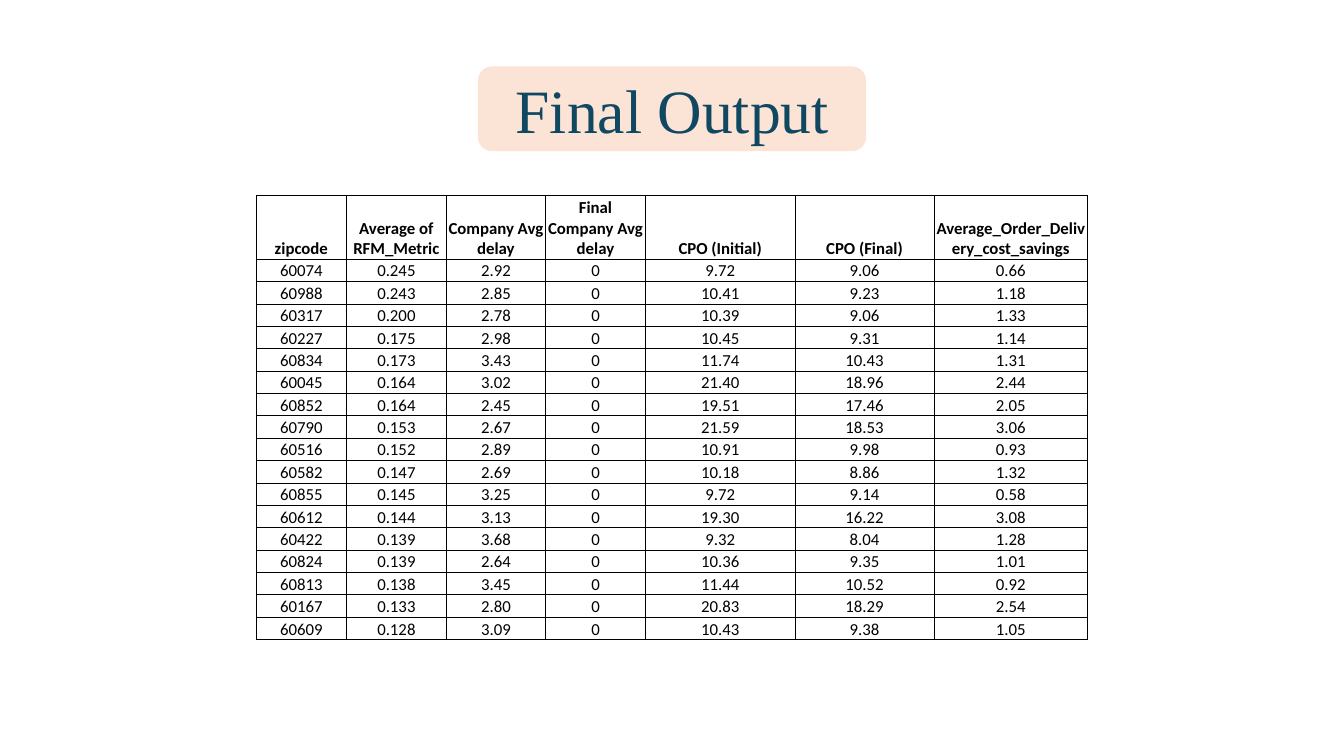
import dataclasses

import lxml.etree
import pptx
import pptx.dml.color
import pptx.enum.shapes
import pptx.enum.text
import pptx.oxml.ns
import pptx.util

EMU_PER_PX = 9144  # 100 px to the inch


def px(length):
    return pptx.util.Emu(round(length * EMU_PER_PX))


@dataclasses.dataclass(frozen=True)
class Theme:
    panel: str = "FBE3D6"
    title: str = "104862"
    text: str = "000000"
    cell: str = "FFFFFF"
    border: str = "000000"
    title_font: str = "Times New Roman"
    table_font: str = "Calibri"
    title_size: int = 44
    table_size: int = 12
    border_width: float = 0.5


class SlideBuilder:
    def __init__(self, slide, theme):
        self.slide = slide
        self.theme = theme

    def fill(self, target, color):
        target.fill.solid()
        target.fill.fore_color.rgb = pptx.dml.color.RGBColor.from_string(color)

    def format_text(self, paragraph, font_name, size, color, bold=False):
        paragraph.alignment = pptx.enum.text.PP_ALIGN.CENTER
        for run in paragraph.runs:
            run.font.name = font_name
            run.font.size = pptx.util.Pt(size)
            run.font.bold = bold
            run.font.color.rgb = pptx.dml.color.RGBColor.from_string(color)

    def panel(self, left, top, width, height):
        shape = self.slide.shapes.add_shape(
            pptx.enum.shapes.MSO_SHAPE.ROUNDED_RECTANGLE,
            px(left), px(top), px(width), px(height))
        shape.shadow.inherit = False
        self.fill(shape, self.theme.panel)
        shape.line.fill.background()

    def title(self, text, left, top, width, height):
        shape = self.slide.shapes.add_textbox(px(left), px(top), px(width), px(height))
        text_frame = shape.text_frame
        text_frame.word_wrap = True
        text_frame.vertical_anchor = pptx.enum.text.MSO_ANCHOR.MIDDLE
        text_frame.text = text
        paragraph = text_frame.paragraphs[0]
        paragraph.line_spacing = 0.9
        self.format_text(paragraph, self.theme.title_font, self.theme.title_size,
                         self.theme.title)

    def borders(self, cell):
        properties = cell._tc.get_or_add_tcPr()
        for side in ("a:lnL", "a:lnR", "a:lnT", "a:lnB"):
            line = lxml.etree.SubElement(properties, pptx.oxml.ns.qn(side))
            line.set("w", str(pptx.util.Pt(self.theme.border_width)))
            solid = lxml.etree.SubElement(line, pptx.oxml.ns.qn("a:solidFill"))
            color = lxml.etree.SubElement(solid, pptx.oxml.ns.qn("a:srgbClr"))
            color.set("val", self.theme.border)

    def cell(self, cell, text, bold):
        cell.margin_left = cell.margin_right = cell.margin_top = px(1)
        cell.margin_bottom = 0
        cell.vertical_anchor = pptx.enum.text.MSO_ANCHOR.BOTTOM
        self.borders(cell)
        self.fill(cell, self.theme.cell)
        cell.text_frame.text = text
        self.format_text(cell.text_frame.paragraphs[0], self.theme.table_font,
                         self.theme.table_size, self.theme.text, bold)

    def table(self, rows, left, top, width, height, column_shares, header_height):
        table = self.slide.shapes.add_table(
            len(rows), len(column_shares), px(left), px(top), px(width), px(height)).table
        table.horz_banding = False
        for column, share in zip(table.columns, column_shares):
            column.width = px(width * share / sum(column_shares))
        body_height = (height - header_height) / (len(rows) - 1)
        for row_index, values in enumerate(rows):
            is_header = row_index == 0
            table.rows[row_index].height = px(header_height if is_header else body_height)
            for column_index, value in enumerate(values):
                self.cell(table.cell(row_index, column_index), value, is_header)


HEADERS = ("zipcode", "Average of RFM_Metric", "Company Avg delay",
           "Final Company Avg delay", "CPO (Initial)", "CPO (Final)",
           "Average_Order_Delivery_cost_savings")

ZIPCODE_ROWS = (
    "60074 0.245 2.92 0 9.72 9.06 0.66",
    "60988 0.243 2.85 0 10.41 9.23 1.18",
    "60317 0.200 2.78 0 10.39 9.06 1.33",
    "60227 0.175 2.98 0 10.45 9.31 1.14",
    "60834 0.173 3.43 0 11.74 10.43 1.31",
    "60045 0.164 3.02 0 21.40 18.96 2.44",
    "60852 0.164 2.45 0 19.51 17.46 2.05",
    "60790 0.153 2.67 0 21.59 18.53 3.06",
    "60516 0.152 2.89 0 10.91 9.98 0.93",
    "60582 0.147 2.69 0 10.18 8.86 1.32",
    "60855 0.145 3.25 0 9.72 9.14 0.58",
    "60612 0.144 3.13 0 19.30 16.22 3.08",
    "60422 0.139 3.68 0 9.32 8.04 1.28",
    "60824 0.139 2.64 0 10.36 9.35 1.01",
    "60813 0.138 3.45 0 11.44 10.52 0.92",
    "60167 0.133 2.80 0 20.83 18.29 2.54",
    "60609 0.128 3.09 0 10.43 9.38 1.05",
)


def main():
    presentation = pptx.Presentation()
    presentation.slide_width = pptx.util.Inches(13.33)
    presentation.slide_height = pptx.util.Inches(7.5)
    slide = presentation.slides.add_slide(presentation.slide_layouts[6])
    builder = SlideBuilder(slide, Theme())

    # Title on its panel
    builder.panel(474, 66, 385, 84)
    builder.title("Final Output", 92, 40, 1150, 145)

    # Results by zipcode
    rows = [HEADERS] + [row.split() for row in ZIPCODE_ROWS]
    builder.table(rows, 254, 194, 825, 441,
                  column_shares=(90, 99, 99, 99, 149, 138, 153), header_height=63)

    presentation.save("out.pptx")


if __name__ == "__main__":
    main()
